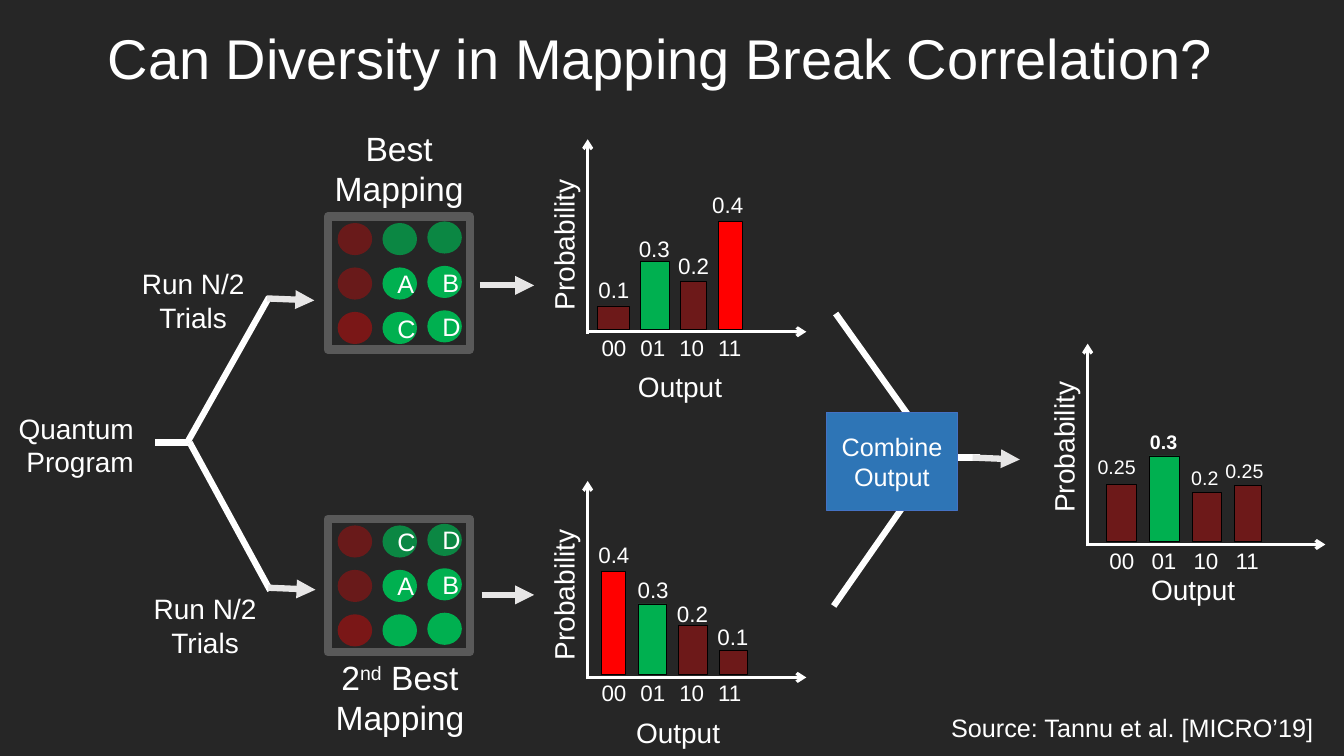
"""Builds a slide on whether diverse qubit mappings break output correlation."""
from dataclasses import dataclass

from pptx import Presentation
from pptx.dml.color import RGBColor
from pptx.enum.shapes import MSO_CONNECTOR as Link, MSO_SHAPE as Preset
from pptx.enum.text import MSO_ANCHOR as Anchor, PP_ALIGN as Align
from pptx.oxml.ns import qn
from pptx.oxml.xmlchemy import OxmlElement as Element
from pptx.util import Cm, Pt

WHITE = RGBColor(0xFF, 0xFF, 0xFF)
BLACK = RGBColor(0x00, 0x00, 0x00)
CHARCOAL = RGBColor(0x26, 0x26, 0x26)
FRAME_GREY = RGBColor(0x59, 0x59, 0x59)
ARROW_GREY = RGBColor(0xE7, 0xE6, 0xE6)
GREEN = RGBColor(0x00, 0xB0, 0x50)
RED = RGBColor(0xFF, 0x00, 0x00)
BLUE = RGBColor(0x2E, 0x75, 0xB6)
BLUE_EDGE = RGBColor(0x44, 0x72, 0xC4)

STATES = ("00", "01", "10", "11")
CORRECT, DOMINANT, MINOR = (GREEN, 100), (RED, 100), (RED, 33)


@dataclass
class Bar:
    """One outcome: bar place and size, its label and its paint."""
    left: float
    width: float
    height: float
    value: str
    label_left: float
    label_top: float
    paint: tuple = MINOR


@dataclass
class Plot:
    """Axes, axis names and outcomes of one distribution."""
    left: float
    right: float
    top: float
    axis: float
    probability_top: float
    output_left: float
    output_top: float
    state_left: float
    state_pitch: float
    value_size: int
    bars: tuple


BEST_PLOT = Plot(14.81, 20.32, 3.51, 8.36, 5.61, 15.82, 9.19, 14.91, 0.98, 16, (
    Bar(15.06, 0.79, 0.58, "0.1", 14.83, 6.83),
    Bar(16.15, 0.71, 1.7, "0.3", 15.85, 5.79, CORRECT),
    Bar(17.15, 0.66, 1.19, "0.2", 16.84, 6.22),
    Bar(18.11, 0.61, 2.72, "0.4", 17.7, 4.7, DOMINANT)))
SECOND_PLOT = Plot(14.81, 20.32, 12.12, 17.07, 14.43, 15.77, 17.91, 14.91, 0.98, 16, (
    Bar(15.16, 0.61, 2.59, "0.4", 14.83, 13.51, DOMINANT),
    Bar(16.08, 0.71, 1.78, "0.3", 15.82, 14.4, CORRECT),
    Bar(17.09, 0.74, 1.24, "0.2", 16.81, 15.01),
    Bar(18.14, 0.69, 0.61, "0.1", 17.83, 15.57)))
COMBINED_PLOT = Plot(27.41, 33.4, 8.66, 13.72, 10.71, 28.75, 14.3, 27.71, 1.06, 14, (
    Bar(27.89, 0.74, 1.45, "0.25", 27.41, 11.35),
    Bar(28.96, 0.76, 2.16, "0.3", 28.73, 10.72, CORRECT),
    Bar(30.05, 0.74, 1.24, "0.2", 29.77, 11.61),
    Bar(31.12, 0.66, 1.42, "0.25", 30.63, 11.43)))


def add_run(paragraph, text, size, bold=False, raised=False):
    """Add one white run to a paragraph."""
    run = paragraph.add_run()
    run.text = text
    run.font.name = "Arial"
    run.font.size = Pt(size)
    run.font.bold = bold
    run.font.color.rgb = WHITE
    if raised:
        run._r.get_or_add_rPr().set("baseline", "30000")


def add_lines(frame, lines, size, align, bold=False):
    """Write each line as its own paragraph."""
    for index, line in enumerate(lines):
        paragraph = frame.add_paragraph() if index else frame.paragraphs[0]
        paragraph.alignment = align
        add_run(paragraph, line, size, bold)


def add_label(slide, lines, left, top, width, height, size,
              align=Align.CENTER, wrap=False, bold=False):
    """Add a text box and return it."""
    label = slide.shapes.add_textbox(Cm(left), Cm(top), Cm(width), Cm(height))
    label.text_frame.word_wrap = wrap
    add_lines(label.text_frame, lines, size, align, bold)
    return label


def add_block(slide, preset, left, top, width, height, paint=None,
              edge=None, edge_width=0.5):
    """Add a flat preset shape with optional fill, opacity and outline."""
    block = slide.shapes.add_shape(preset, Cm(left), Cm(top), Cm(width), Cm(height))
    block.shadow.inherit = False
    if paint:
        colour, opacity = paint
        block.fill.solid()
        block.fill.fore_color.rgb = colour
        if opacity < 100:
            alpha = Element("a:alpha")
            alpha.set("val", str(opacity * 1000))
            block.element.spPr.find(".//" + qn("a:srgbClr")).append(alpha)
    else:
        block.fill.background()
    if edge:
        block.line.color.rgb = edge
        block.line.width = Pt(edge_width)
    else:
        block.line.fill.background()
    return block


def add_line(slide, x1, y1, x2, y2, colour=WHITE, weight=4.5, head=None):
    """Draw a straight line, with an arrowhead at its end if named."""
    line = slide.shapes.add_connector(Link.STRAIGHT, Cm(x1), Cm(y1), Cm(x2), Cm(y2))
    line.line.color.rgb = colour
    line.line.width = Pt(weight)
    properties = line._element.spPr
    if head:
        tail = Element("a:tailEnd")
        tail.set("type", head)
        properties.find(qn("a:ln")).append(tail)
    properties.append(Element("a:effectLst"))


def add_mapping(slide, top, letters):
    """Draw a framed 3 by 3 qubit grid with letters on the used qubits."""
    for row, row_letters in enumerate(letters):
        paints = ((RED, (31, 31, 39)[row]),) + ((GREEN, 100 if row else 71),) * 2
        for column, (letter, paint) in enumerate(zip(row_letters, paints)):
            lift = 0.04 if column == 2 else 0
            qubit = add_block(slide, Preset.OVAL, 8.51 + 1.13 * column,
                              top + 0.16 + 1.12 * row - lift, 0.87, 0.81, paint)
            if letter != "-":
                qubit.text_frame.vertical_anchor = Anchor.MIDDLE
                add_lines(qubit.text_frame, [letter], 18, Align.CENTER)
    add_block(slide, Preset.RECTANGLE, 8.26, top, 3.58, 3.35,
              edge=FRAME_GREY, edge_width=6)


def add_plot(slide, plot):
    """Draw axes, bars and labels of a distribution."""
    base = plot.axis - 0.07
    add_line(slide, plot.left, plot.axis, plot.right, plot.axis, WHITE, 2.25, "arrow")
    add_line(slide, plot.left, plot.axis + 0.05, plot.left, plot.top, WHITE, 2.25, "arrow")
    for index, (state, bar) in enumerate(zip(STATES, plot.bars)):
        add_block(slide, Preset.RECTANGLE, bar.left, base - bar.height,
                  bar.width, bar.height, bar.paint, BLACK)
        bold = plot is COMBINED_PLOT and bar.paint == CORRECT
        add_label(slide, [bar.value], bar.label_left, bar.label_top,
                  1.6 if len(bar.value) > 3 else 1.3, 1.2, plot.value_size,
                  Align.LEFT, bold=bold)
        add_label(slide, [state], plot.state_left + plot.state_pitch * index,
                  base, 1.14, 1.2, 16, Align.LEFT)
    add_label(slide, ["Output"], plot.output_left, plot.output_top, 2.64, 1.45, 20)
    probability = add_label(slide, ["Probability"], plot.left - 3.1,
                            plot.probability_top, 5, 1.12, 20)
    probability.rotation = 270


def add_title(slide, text):
    """Place and format the title."""
    title = slide.shapes.title
    title.left, title.top, title.width, title.height = Cm(1.27), Cm(-0.05), Cm(30.71), Cm(3.18)
    title.text_frame.vertical_anchor = Anchor.MIDDLE
    add_lines(title.text_frame, [text], 40, Align.CENTER)
    title.text_frame.paragraphs[0].line_spacing = 0.9


def main():
    """Build and save the slide."""
    deck = Presentation()
    deck.slide_width, deck.slide_height = Cm(33.87), Cm(19.05)
    slide = deck.slides.add_slide(deck.slide_layouts[5])
    slide.background.fill.solid()
    slide.background.fill.fore_color.rgb = CHARCOAL
    add_title(slide, "Can Diversity in Mapping Break Correlation?")
    add_label(slide, ["Quantum ", "Program"], -0.28, 10.24, 4.6, 1.96, 20, wrap=True)
    for left, top in ((2.57, 6.6), (2.87, 14.78)):
        add_label(slide, ["Run N/2 Trials"], left, top, 4.6, 1.96, 20, wrap=True)
    add_label(slide, ["Best Mapping"], 7.9, 3.1, 4.32, 2.03, 24, wrap=True)
    second = add_label(slide, ["2"], 7.92, 16.43, 4.32, 2.03, 24, wrap=True)
    add_run(second.text_frame.paragraphs[0], "nd", 24, raised=True)
    add_run(second.text_frame.paragraphs[0], " Best Mapping", 24)
    add_mapping(slide, 5.46, ("---", "-AB", "-CD"))
    add_mapping(slide, 13.08, ("-CD", "-AB", "---"))
    for ends in ((3.91, 11.15, 4.75, 11.15), (4.72, 11.15, 6.78, 7.49),
                 (4.78, 11.15, 6.81, 14.88), (24.69, 11.53, 23.65, 11.53),
                 (23.65, 11.53, 21.06, 7.9), (23.62, 11.53, 21.01, 15.27)):
        add_line(slide, *ends)
    for ends in ((6.73, 7.52, 7.92, 7.57), (6.76, 14.81, 7.95, 14.86),
                 (12.09, 7.19, 13.46, 7.19), (12.14, 14.99, 13.46, 14.99),
                 (24.51, 11.53, 25.7, 11.58)):
        add_line(slide, *ends, ARROW_GREY, head="triangle")
    combine = add_block(slide, Preset.RECTANGLE, 20.83, 10.39, 3.3, 2.46,
                        (BLUE, 100), BLUE_EDGE)
    combine.text_frame.vertical_anchor = Anchor.MIDDLE
    add_lines(combine.text_frame, ["Combine", "Output"], 18, Align.CENTER)
    for plot in (BEST_PLOT, SECOND_PLOT, COMBINED_PLOT):
        add_plot(slide, plot)
    add_label(slide, ["Source: Tannu et al. [MICRO’19]"], 23.72, 17.83, 10.08, 1.02,
              18, Align.LEFT)
    deck.save("out.pptx")


if __name__ == "__main__":
    main()
